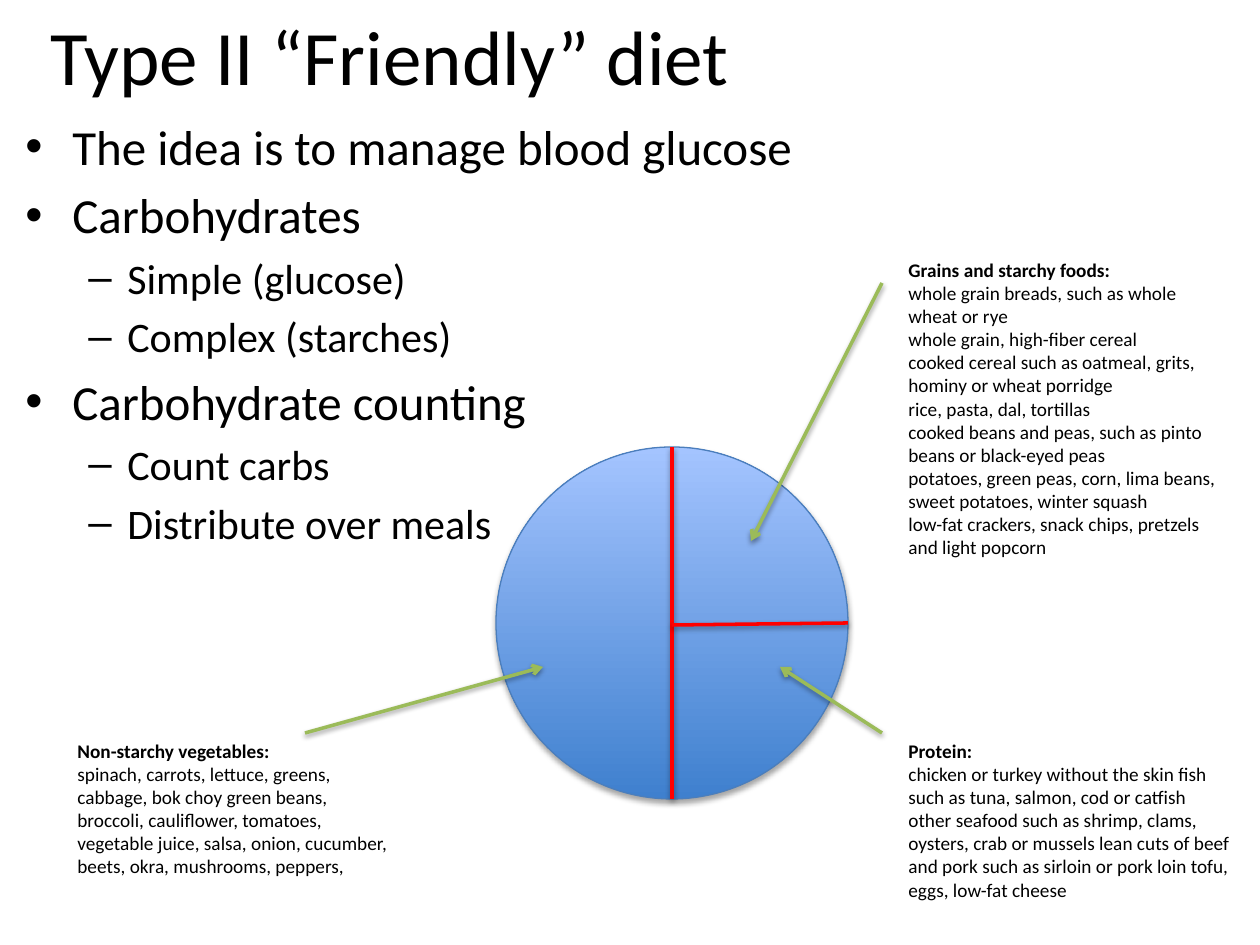
"""Build the Type II friendly diet slide with its divided plate."""
from lxml import etree
from pptx import Presentation
from pptx.dml.color import RGBColor
from pptx.enum.shapes import MSO_CONNECTOR, MSO_SHAPE
from pptx.enum.text import MSO_ANCHOR, PP_ALIGN
from pptx.oxml.ns import qn
from pptx.util import Pt

PIXEL = 914400 / 126
STRAIGHT = MSO_CONNECTOR.STRAIGHT
OVAL = MSO_SHAPE.OVAL
MIDDLE = MSO_ANCHOR.MIDDLE
TOP = MSO_ANCHOR.TOP
LEFT = PP_ALIGN.LEFT
FONT = "Calibri"
COLORS = {"text": "000000", "paper": "FFFFFF", "divider": "FF0000", "arrow": "9BBB59",
          "plate_low": "3F80CE", "plate_high": "A4C4FF", "rim": "4B7EBC"}
COLORS = {name: RGBColor.from_string(value) for name, value in COLORS.items()}

presentation = Presentation()
presentation.slide_width, presentation.slide_height = (round(n * PIXEL) for n in (1260, 945))
slide = presentation.slides.add_slide(presentation.slide_layouts[6])


def add_text(box, paragraphs, anchor=TOP):
    """Add a text box from (text, size, bold) rows and return its shape."""
    shape = slide.shapes.add_textbox(*(round(n * PIXEL) for n in box))
    frame = shape.text_frame
    frame.word_wrap = True
    frame.vertical_anchor = anchor
    for index, (text, size, bold) in enumerate(paragraphs):
        paragraph = frame.paragraphs[0] if index == 0 else frame.add_paragraph()
        paragraph.alignment = LEFT
        run = paragraph.add_run()
        run.text = text
        for name, value in {"name": FONT, "size": Pt(size), "bold": bold}.items():
            setattr(run.font, name, value)
        run.font.color.rgb = COLORS["text"]
    return shape


def add_line(shapes, points, color):
    """Add a shadowed two-point line and return its connector."""
    line = shapes.add_connector(STRAIGHT, *(round(n * PIXEL) for n in points))
    line.line.color.rgb = COLORS[color]
    line.line.width = Pt(2)
    effects = etree.SubElement(line._element.spPr, qn("a:effectLst"))
    shadows.append((effects, 1.6, 38))
    return line


shadows = []
add_text((38, 1, 1134, 108), [("Type II “Friendly” diet", 44, False)], MIDDLE)

LEVELS = [{"size": 28, "margin": 47, "hang": 47, "bullet": "•"},
          {"size": 24, "margin": 102, "hang": 39, "bullet": "–"}]
outline = [(0, "The idea is to manage blood glucose"), (0, "Carbohydrates"),
           (1, "Simple (glucose)"), (1, "Complex (starches)"),
           (0, "Carbohydrate counting"), (1, "Count carbs"), (1, "Distribute over meals")]
body = add_text((13, 110, 1134, 624),
                [(text, LEVELS[level]["size"], False) for level, text in outline])
for paragraph, (level, text) in zip(body.text_frame.paragraphs, outline):
    style = LEVELS[level]
    paragraph.level = level
    properties = paragraph._p.get_or_add_pPr()
    properties.set("marL", str(round(style["margin"] * PIXEL)))
    properties.set("indent", str(-round(style["hang"] * PIXEL)))
    spacing = etree.SubElement(properties, qn("a:spcBef"))
    etree.SubElement(spacing, qn("a:spcPct"), val="20000")
    etree.SubElement(properties, qn("a:buFont"), typeface="Arial")
    etree.SubElement(properties, qn("a:buChar"), char=style["bullet"])

group = slide.shapes.add_group_shape()
plate = group.shapes.add_shape(OVAL, *(round(n * PIXEL) for n in (496, 447, 352, 352)))
plate.fill.gradient()
plate.fill.gradient_angle = 90
for stop, color in zip(plate.fill.gradient_stops, ("plate_low", "plate_high")):
    stop.color.rgb = COLORS[color]
plate.line.color.rgb = COLORS["rim"]
plate.line.width = Pt(0.75)
plate.shadow.inherit = False
shadows.append((plate._element.spPr.find(qn("a:effectLst")), 1.8, 35))
for points in ((672, 447, 672, 799), (848, 623, 672, 625)):
    add_line(group.shapes, points, "divider")

foods = [
    ((65, 733, 335, 176), "Non-starchy vegetables:", [
        "spinach, carrots, lettuce, greens, cabbage, bok choy green beans, broccoli, "
        "cauliflower, tomatoes, vegetable juice, salsa, onion, cucumber, beets, okra, "
        "mushrooms, peppers, "]),
    ((896, 252, 335, 316), "Grains and starchy foods:", [
        "whole grain breads, such as whole wheat or rye",
        "whole grain, high-fiber cereal",
        "cooked cereal such as oatmeal, grits, hominy or wheat porridge",
        "rice, pasta, dal, tortillas",
        "cooked beans and peas, such as pinto beans or black-eyed peas",
        "potatoes, green peas, corn, lima beans, sweet potatoes, winter squash",
        "low-fat crackers, snack chips, pretzels and light popcorn"]),
    ((896, 733, 349, 176), "Protein:", [
        "chicken or turkey without the skin fish such as tuna, salmon, cod or catfish "
        "other seafood such as shrimp, clams, oysters, crab or mussels lean cuts of beef "
        "and pork such as sirloin or pork loin tofu, eggs, low-fat cheese"]),
]
for box, heading, items in foods:
    note = add_text(box, [(heading, 11, True)] + [(item, 11, False) for item in items])
note.fill.solid()
note.fill.fore_color.rgb = COLORS["paper"]

for points in ((305, 733, 543, 667), (882, 283, 751, 541), (882, 733, 780, 667)):
    arrow = add_line(slide.shapes, points, "arrow")
    etree.SubElement(arrow.line._get_or_add_ln(), qn("a:tailEnd"), type="arrow")

for effects, distance, opacity in shadows:
    shadow = etree.SubElement(effects, qn("a:outerShdw"), blurRad=str(Pt(3.1)),
                              dist=str(Pt(distance)), dir="5400000", rotWithShape="0")
    black = etree.SubElement(shadow, qn("a:srgbClr"), val="000000")
    etree.SubElement(black, qn("a:alpha"), val=str(opacity * 1000))

presentation.save("out.pptx")
